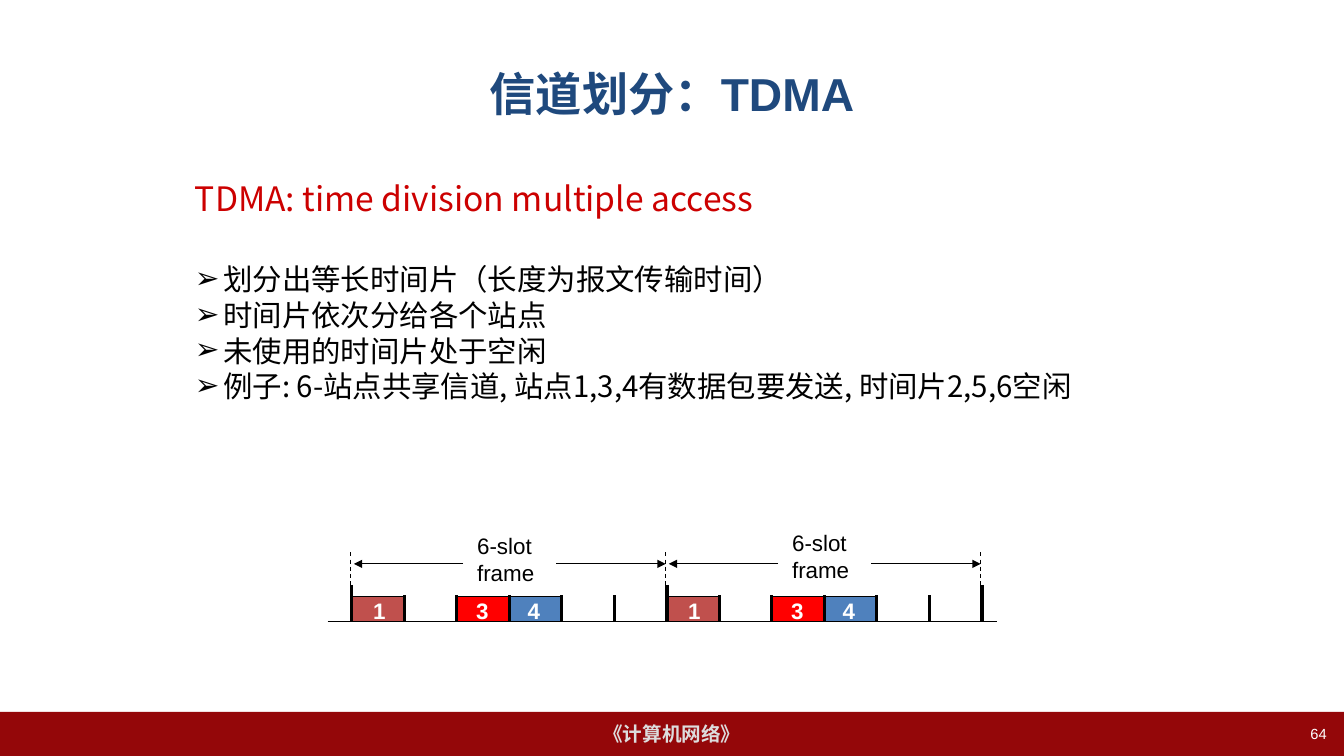
"""Build the slide on time division multiple access."""
import dataclasses
import typing

import lxml.etree
import pptx
import pptx.dml.color
import pptx.enum.dml
import pptx.enum.shapes
import pptx.enum.text
import pptx.oxml.ns
import pptx.util

PX = 9525
ALIGN = pptx.enum.text.PP_ALIGN
ANCHOR = pptx.enum.text.MSO_ANCHOR


@dataclasses.dataclass(frozen=True)
class Theme:
    latin: str = "Arial"
    cjk: str = "Noto Sans CJK SC"
    title: str = "1F497D"
    heading: str = "CC0000"
    ink: str = "000000"
    paper: str = "FFFFFF"
    bar: str = "940709"
    bar_text: str = "DDDDDD"
    brick: str = "C0504D"
    red: str = "FF0000"
    blue: str = "4F81BD"
    title_size: float = 33
    heading_size: float = 24
    bullet_size: float = 21
    label_size: float = 16
    footer_size: float = 14
    page_size: float = 10.5
    hairline: float = 0.75
    tick: float = 2.25
    frame_tick: float = 3


THEME = Theme()


class Box(typing.NamedTuple):
    left: int
    top: int
    width: int
    height: int


class Slot(typing.NamedTuple):
    station: int
    fill: str
    label_offset: int


class Frame(typing.NamedTuple):
    start: int
    label_top: int


SLOT_WIDTH = 50
SLOTS_PER_FRAME = 6
FRAME_WIDTH = SLOT_WIDTH * SLOTS_PER_FRAME
FIRST_START = 335
SLOT_TOP = 568
BASELINE = 592
ARROW_Y = 537
SLOTS = [Slot(1, THEME.brick, 11), Slot(3, THEME.red, 9), Slot(4, THEME.blue, 8)]
FRAMES = [Frame(FIRST_START, 502), Frame(FIRST_START + FRAME_WIDTH, 499)]
HEADING = "TDMA: time division multiple access"
BULLETS = [
    "划分出等长时间片（长度为报文传输时间）",
    "时间片依次分给各个站点",
    "未使用的时间片处于空闲",
    "例子: 6-站点共享信道, 站点1,3,4有数据包要发送, 时间片2,5,6空闲",
]


def emu(*lengths: int) -> list[int]:
    return [length * PX for length in lengths]


def rgb(colour: str) -> pptx.dml.color.RGBColor:
    return pptx.dml.color.RGBColor.from_string(colour)


def child(parent, tag: str, **attributes: str) -> None:
    lxml.etree.SubElement(parent, pptx.oxml.ns.qn(tag), attributes)


def style(para, size: float, colour: str, bold: bool = False, latin: str = THEME.latin) -> None:
    for span in para.runs:
        span.font.size = pptx.util.Pt(size)
        span.font.bold = bold
        span.font.color.rgb = rgb(colour)
        span.font.name = latin
        child(span.font._element, "a:ea", typeface=THEME.cjk)


def place(shape, box: Box) -> None:
    shape.left, shape.top, shape.width, shape.height = emu(*box)


def add_rectangle(page, box: Box, fill: str, outline: str | None = None):
    shape = page.shapes.add_shape(pptx.enum.shapes.MSO_SHAPE.RECTANGLE, *emu(*box))
    shape.shadow.inherit = False
    shape.fill.solid()
    shape.fill.fore_color.rgb = rgb(fill)
    if outline:
        shape.line.color.rgb = rgb(outline)
        shape.line.width = pptx.util.Pt(THEME.hairline)
    else:
        shape.line.fill.background()
    return shape


def add_label(page, box: Box, text: str, size: float, colour: str,
              bold: bool = False, align: ALIGN = ALIGN.LEFT) -> None:
    label = page.shapes.add_textbox(*emu(*box))
    label.text_frame.word_wrap = False
    label.text_frame.text = text
    for para in label.text_frame.paragraphs:
        para.alignment = align
        style(para, size, colour, bold)


def add_line(page, start: tuple[int, int], end: tuple[int, int], width: float = THEME.hairline,
             arrow: bool = False, dashed: bool = False) -> None:
    line = page.shapes.add_connector(
        pptx.enum.shapes.MSO_CONNECTOR.STRAIGHT, *emu(*start, *end))
    line.line.color.rgb = rgb(THEME.ink)
    line.line.width = pptx.util.Pt(width)
    if dashed:
        line.line.dash_style = pptx.enum.dml.MSO_LINE.DASH
    if arrow:
        child(line.line._get_or_add_ln(), "a:tailEnd", type="triangle")
    child(line._element.spPr, "a:effectLst")


def fill_title(title) -> None:
    place(title, Box(64, 29, 1152, 120))
    title.text_frame.text = "信道划分：TDMA"
    title.text_frame.vertical_anchor = ANCHOR.MIDDLE
    title.text_frame.paragraphs[0].alignment = ALIGN.CENTER
    style(title.text_frame.paragraphs[0], THEME.title_size, THEME.title, True)


def fill_body(body) -> None:
    place(body, Box(176, 174, 1000, 300))
    body.text_frame.text = "\n".join([HEADING, *BULLETS])
    body.text_frame.auto_size = pptx.enum.text.MSO_AUTO_SIZE.NONE
    for index, para in enumerate(body.text_frame.paragraphs):
        properties = para._p.get_or_add_pPr()
        properties.set("marL", str(27 * PX))
        properties.set("indent", str(-27 * PX))
        if index == 0:
            child(properties, "a:buNone")
            style(para, THEME.heading_size, THEME.heading, latin=THEME.cjk)
        else:
            child(properties, "a:buChar", char="➢")
            style(para, THEME.bullet_size, THEME.ink, latin=THEME.cjk)
        para.line_spacing = 0.75
        para.space_before = pptx.util.Pt({0: 0, 1: 37}.get(index, 6.5))


def draw_footer(page) -> None:
    bar = add_rectangle(page, Box(0, 678, 1280, 42), THEME.bar)
    bar.text_frame.text = "《计算机网络》"
    bar.text_frame.word_wrap = False
    bar.text_frame.vertical_anchor = ANCHOR.MIDDLE
    bar.text_frame.paragraphs[0].alignment = ALIGN.CENTER
    style(bar.text_frame.paragraphs[0], THEME.footer_size, THEME.bar_text, True)
    add_label(page, Box(974, 686, 299, 34), "64", THEME.page_size, THEME.paper, align=ALIGN.RIGHT)


def draw_frame(page, frame: Frame) -> None:
    for slot in SLOTS:
        left = frame.start + (slot.station - 1) * SLOT_WIDTH
        add_rectangle(page, Box(left, SLOT_TOP, SLOT_WIDTH, BASELINE - SLOT_TOP),
                      slot.fill, THEME.ink)
        add_label(page, Box(left + slot.label_offset, 564, 31, 35), str(slot.station),
                  THEME.label_size, THEME.paper, True)
    add_label(page, Box(frame.start + 110, frame.label_top, 74, 61), "6-slot\nframe",
              THEME.label_size, THEME.ink)
    for tail, head in ((106, 2), (195, FRAME_WIDTH - 1)):
        add_line(page, (frame.start + tail, ARROW_Y), (frame.start + head, ARROW_Y), arrow=True)


def draw_ticks(page) -> None:
    for index in range(len(FRAMES) * SLOTS_PER_FRAME + 1):
        x = FIRST_START + index * SLOT_WIDTH
        if index % SLOTS_PER_FRAME:
            add_line(page, (x, SLOT_TOP - 1), (x, BASELINE), THEME.tick)
        else:
            add_line(page, (x, 557), (x, BASELINE), THEME.frame_tick if index else THEME.tick)
            add_line(page, (x - 1, 526), (x - 1, 559), dashed=True)


def main() -> None:
    deck = pptx.Presentation()
    deck.slide_width, deck.slide_height = emu(1280, 720)
    page = deck.slides.add_slide(deck.slide_layouts[1])
    fill_title(page.shapes.title)
    fill_body(page.placeholders[1])
    draw_footer(page)
    add_line(page, (312, BASELINE), (950, BASELINE))
    for frame in FRAMES:
        draw_frame(page, frame)
    draw_ticks(page)
    deck.save("out.pptx")


if __name__ == "__main__":
    main()
